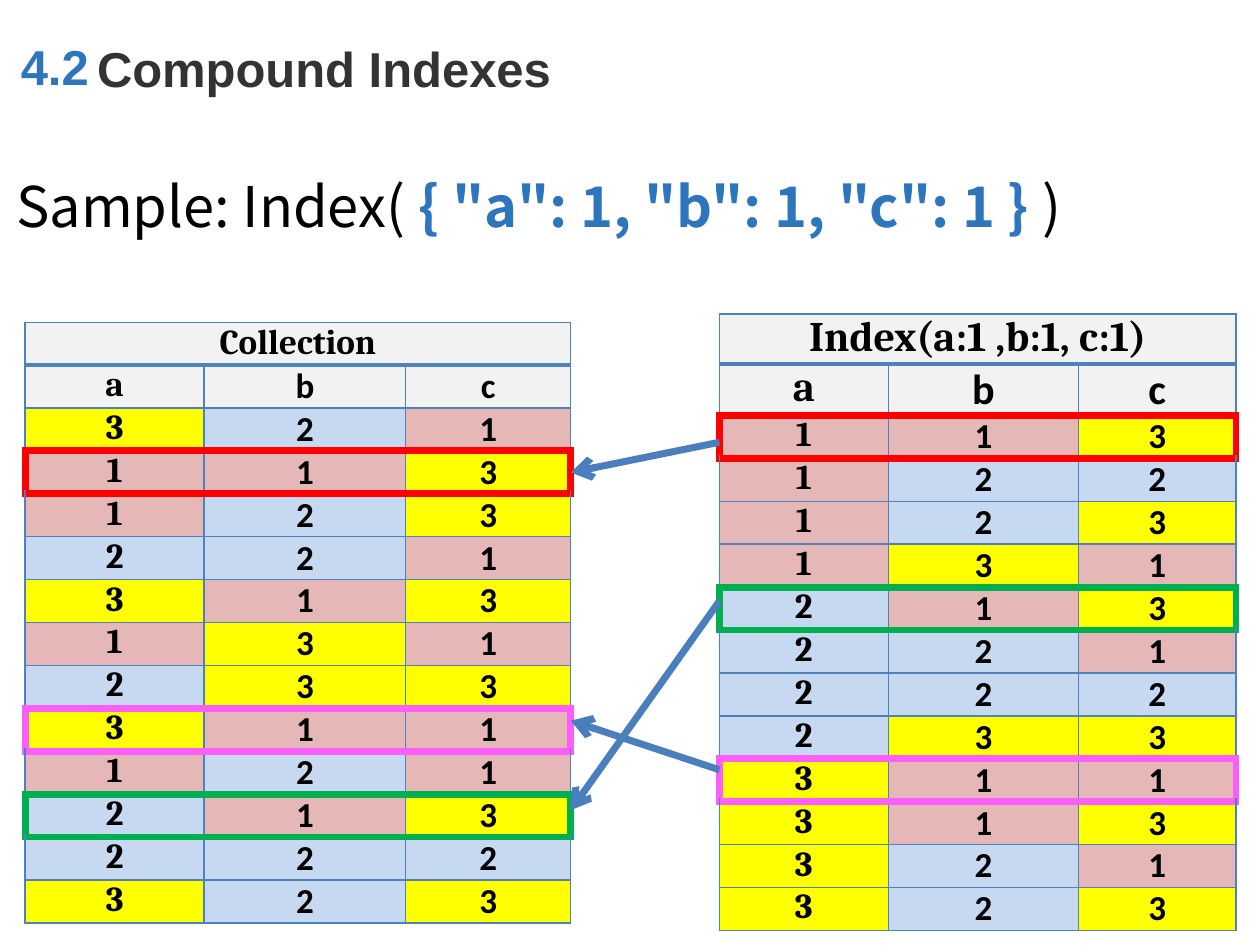
from dataclasses import dataclass

from lxml.etree import SubElement as Sub
from pptx import Presentation
from pptx.dml.color import RGBColor as RGB
from pptx.enum.shapes import MSO_CONNECTOR as Link
from pptx.enum.text import MSO_ANCHOR as Anchor, MSO_AUTO_SIZE as Fit, PP_ALIGN as Align
from pptx.oxml.ns import qn
from pptx.util import Inches, Pt


@dataclass(frozen=True)
class Theme:
    sans: str = "Arial"
    serif: str = "Cambria"
    body: str = "Calibri"
    wide: str = "Noto Sans CJK SC"
    black: str = "000000"
    dark: str = "333333"
    gray: str = "808080"
    blue: str = "2D75BC"
    arrow: str = "4B7EBC"
    grid: str = "4F81BD"
    head: str = "F2F2F2"
    one: str = "E5B8B7"
    two: str = "C6D9F1"
    three: str = "FFFF00"
    red: str = "FF0000"
    green: str = "00B050"
    pink: str = "FB5FFB"
    title: int = 28
    lead: int = 32
    large: int = 24
    cell: int = 20
    small: int = 16
    thin: float = 1
    rule: float = 2.25
    thick: float = 4.5
    shaft: float = 4


class Deck:
    def __init__(self, theme):
        self.theme = theme
        self.show = Presentation()
        self.show.slide_width, self.show.slide_height = Inches(10), Inches(7.5)
        self.slide = self.show.slides.add_slide(self.show.slide_layouts[1])
        self.fills = {"1": theme.one, "2": theme.two, "3": theme.three}
        self.marks = {"113": theme.red, "213": theme.green, "311": theme.pink}

    def font(self, font, name, size, color, bold=False):
        font.name, font.size, font.bold = name, Pt(size), bold
        font.color.rgb = RGB.from_string(color)

    def place(self, shape, box):
        shape.left, shape.top, shape.width, shape.height = map(Inches, box)
        frame = shape.text_frame
        frame.word_wrap, frame.auto_size = True, Fit.NONE
        frame.vertical_anchor = Anchor.MIDDLE
        return frame.paragraphs[0]

    def holder(self, index, box, text, color, align):
        para = self.place(self.slide.placeholders[index], box)
        props = para._p.get_or_add_pPr()
        props.set("marL", "0")
        props.set("indent", "0")
        Sub(props, qn("a:buNone"))
        para.text, para.alignment = text, align
        para.space_before = Pt(0)
        self.font(para.font, self.theme.sans, self.theme.title, color, True)

    def text(self, box, parts, name, size, align=Align.LEFT, space=1):
        para = self.place(self.slide.shapes.add_textbox(*map(Inches, box)), box)
        para.alignment, para.line_spacing = align, space
        for words, color, bold in parts:
            run = para.add_run()
            run.text = words
            self.font(run.font, name, size, color, bold)

    def border(self, cell, side, color, width):
        line = Sub(cell._tc.get_or_add_tcPr(), qn("a:ln" + side), w=str(int(Pt(width))))
        Sub(Sub(line, qn("a:solidFill")), qn("a:srgbClr"), val=color)

    def edge(self, cell, keys, row, col):
        t = self.theme
        plain = t.grid, t.thin
        mark = [(self.marks[key], t.thick) if key in self.marks else None for key in keys]
        mark.append(None)
        own = mark[row]
        above = mark[row - 1] if row else None
        split = t.grid, t.rule
        self.border(cell, "L", *(own if own and col == 0 else plain))
        self.border(cell, "R", *(own if own and col == 2 else plain))
        self.border(cell, "T", *(split if row == 1 else own or above or plain))
        self.border(cell, "B", *(split if row == 0 else own or mark[row + 1] or plain))

    def table(self, box, cols, rows, title, data, size):
        t = self.theme
        keys = ["", "abc"] + data.split()
        grid = self.slide.shapes.add_table(len(keys), 3, *map(Inches, box)).table
        for col, width in zip(grid.columns, cols):
            col.width = Inches(width)
        for row, height in zip(grid.rows, rows):
            row.height = Inches(height)
        for row, key in enumerate(keys):
            for col in range(3):
                cell = grid.cell(row, col)
                self.edge(cell, keys, row, col)
                cell.margin_left = cell.margin_right = Inches(0.08)
                cell.margin_top = cell.margin_bottom = 0
                value = key[col] if key else ""
                cell.fill.solid()
                cell.fill.fore_color.rgb = RGB.from_string(self.fills.get(value, t.head))
                para = cell.text_frame.paragraphs[0]
                para.text = value if key else title * (col == 0)
                para.alignment = Align.CENTER
                name = t.body if col else t.serif
                self.font(para.font, name, size if row < 2 else t.cell, t.black, True)
        grid.cell(0, 0).merge(grid.cell(0, 2))

    def arrow(self, start, end):
        ends = map(Inches, (*start, *end))
        link = self.slide.shapes.add_connector(Link.STRAIGHT, *ends)
        link.line.color.rgb = RGB.from_string(self.theme.arrow)
        link.line.width = Pt(self.theme.shaft)
        Sub(link.line._get_or_add_ln(), qn("a:tailEnd"), type="arrow")
        Sub(link._element.spPr, qn("a:effectLst"))


def main():
    t = Theme()
    deck = Deck(t)
    deck.holder(1, (0.02, 0.24, 0.83, 0.57), "4.2", t.blue, Align.CENTER)
    deck.holder(0, (0.67, 0.25, 8.75, 0.57), "Compound Indexes", t.dark, Align.LEFT)
    deck.text((9.42, 7.1, 0.5, 0.4), [("22", t.gray, False)], t.sans, t.small, Align.RIGHT)
    sample = [
        ("Sample: Index( ", t.black, False),
        ('{ "a": 1, "b": 1, "c": 1 } ', t.blue, True),
        (")", t.black, False),
    ]
    deck.text((0.03, 1.23, 9.97, 0.69), sample, t.wide, t.lead, space=1.2)
    deck.table((5.71, 2.49, 4.1, 4.8), (1.34, 1.51, 1.25),
               [0.4] * 2 + [4 / 12] * 12, "Index(a:1 ,b:1, c:1)",
               "113 122 123 131 213 221 222 233 311 313 321 323", t.large)
    deck.table((0.2, 2.56, 4.33, 4.72), (1.42, 1.6, 1.31),
               [4.72 / 14] * 14, "Collection",
               "321 113 123 221 313 131 233 311 121 213 222 323", t.cell)
    for start, end in ((3.51, 3.75), (4.77, 6.43), (6.11, 5.72)):
        deck.arrow((5.71, start), (4.53, end))
    deck.show.save("out.pptx")


if __name__ == "__main__":
    main()
